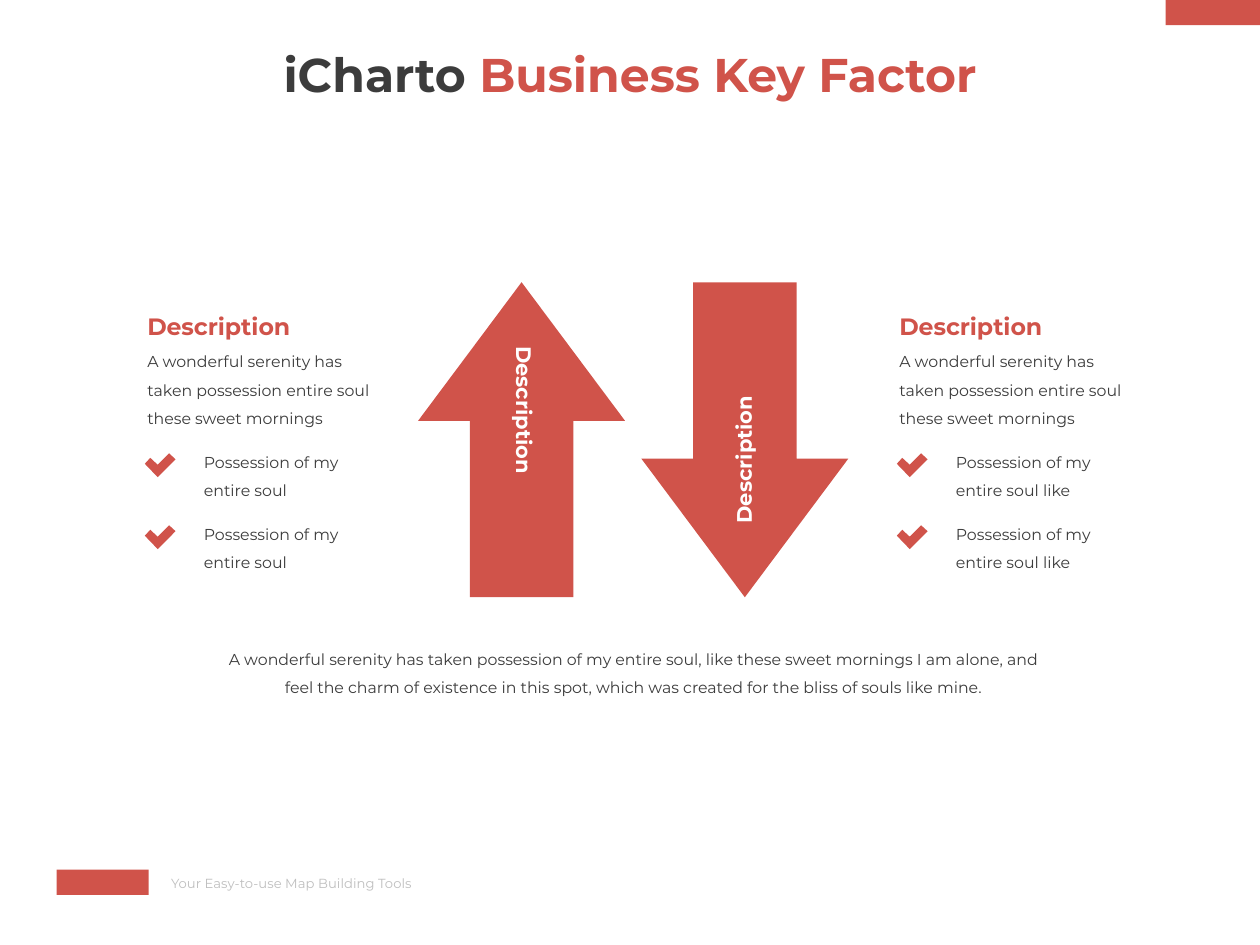
import pptx
import pptx.dml.color
import pptx.enum.shapes
import pptx.enum.text
import pptx.util

Cm = pptx.util.Cm
SHAPES = pptx.enum.shapes.MSO_SHAPE
ANCHOR = pptx.enum.text.MSO_ANCHOR
ALIGN = pptx.enum.text.PP_ALIGN
FIT = pptx.enum.text.MSO_AUTO_SIZE

# Content
TITLE = [("iCharto ", "dark"), ("Business Key Factor", "accent")]
INTRO = "A wonderful serenity has taken possession entire soul these sweet mornings"
COLUMNS = [  # left edge in cm, heading, introduction, checklist
    (2.72, "Description", INTRO, ["Possession of my entire soul"] * 2),
    (17.88, "Description", INTRO, ["Possession of my entire soul like"] * 2),
]
ARROWS = [  # left edge, rotation, label, label box, label rotation
    (8.43, 0, "Description", (8.64, 8.28, 3.86, 0.76), 90),
    (12.93, 180, "Description", (13.16, 8.59, 3.66, 0.76), 270),
]
SUMMARY = (
    "A wonderful serenity has taken possession of my entire soul, like these sweet "
    "mornings I am alone, and feel the charm of existence in this spot, which was "
    "created for the bliss of souls like mine."
)
TAGLINE = "Your Easy-to-use Map Building Tools"

# Theme and measures
THEME = {
    "font": "Montserrat",
    "colors": {"accent": "D0534A", "dark": "3C3C3C", "light": "FFFFFF", "muted": "BFBFBF"},
    "sizes": {"title": 27, "heading": 13.5, "label": 12, "body": 9, "tagline": 7.5},
}
CHECK = [(0.49, 0), (0.26, 0.23), (0.11, 0.09), (0, 0.21), (0.26, 0.48), (0.62, 0.12)]
CHECK_TOP, ITEM_TOP, ITEM_PITCH = 9.14, 8.81, 1.45


def color(name):
    return pptx.dml.color.RGBColor.from_string(THEME["colors"][name])


def add_run(paragraph, text, size, color_name, bold=False):
    run = paragraph.add_run()
    run.text = text
    run.font.name = THEME["font"]
    run.font.size = pptx.util.Pt(THEME["sizes"][size])
    run.font.bold = bold
    run.font.color.rgb = color(color_name)


def add_text(slide, box, text, size="body", color_name="dark", bold=False,
             spacing=1.0, anchor=ANCHOR.TOP, align=ALIGN.LEFT, rotation=0):
    shape = slide.shapes.add_textbox(*map(Cm, box))
    shape.rotation = rotation
    frame = shape.text_frame
    frame.word_wrap = True
    frame.auto_size = FIT.SHAPE_TO_FIT_TEXT
    frame.vertical_anchor = anchor
    paragraph = frame.paragraphs[0]
    paragraph.alignment = align
    paragraph.line_spacing = spacing
    add_run(paragraph, text, size, color_name, bold)


def paint(shape):
    shape.shadow.inherit = False
    shape.fill.solid()
    shape.fill.fore_color.rgb = color("accent")
    shape.line.fill.background()


def add_block(slide, kind, box):
    shape = slide.shapes.add_shape(kind, *map(Cm, box))
    paint(shape)
    return shape


def add_check(slide, left, top):
    points = [(Cm(left + x), Cm(top + y)) for x, y in CHECK]
    builder = slide.shapes.build_freeform(*points[0])
    builder.add_line_segments(points[1:], close=True)
    paint(builder.convert_to_shape())


def add_title(slide):
    title = slide.shapes.title
    title.left, title.top, title.width, title.height = map(Cm, (1.75, 0.66, 21.9, 1.8))
    frame = title.text_frame
    frame.auto_size = FIT.NONE
    frame.vertical_anchor = ANCHOR.MIDDLE
    paragraph = frame.paragraphs[0]
    paragraph.alignment = ALIGN.CENTER
    paragraph.line_spacing = 0.9
    for text, color_name in TITLE:
        add_run(paragraph, text, "title", color_name, bold=True)


def add_arrow(slide, left, rotation, label, label_box, label_rotation):
    arrow = add_block(slide, SHAPES.UP_ARROW, (left, 5.69, 4.17, 6.35))
    arrow.adjustments[0], arrow.adjustments[1] = 0.5, 0.67
    arrow.rotation = rotation
    add_text(slide, label_box, label, "label", "light", bold=True,
             anchor=ANCHOR.MIDDLE, rotation=label_rotation)


def add_column(slide, left, heading, intro, items):
    add_text(slide, (left, 6.78, 5.08, 1.93), intro, spacing=1.5)
    add_text(slide, (left, 6.15, 4.5, 0.84), heading, "heading", "accent",
             bold=True, anchor=ANCHOR.MIDDLE)
    for row, item in enumerate(items):
        shift = row * ITEM_PITCH
        add_check(slide, left + 0.2, CHECK_TOP + shift)
        add_text(slide, (left + 1.14, ITEM_TOP + shift, 3.35, 1.35), item, spacing=1.5)


def main():
    presentation = pptx.Presentation()
    presentation.slide_width, presentation.slide_height = Cm(25.4), Cm(19.05)
    slide = presentation.slides.add_slide(presentation.slide_layouts[5])

    # Title, arrows and side columns
    add_title(slide)
    for arrow in ARROWS:
        add_arrow(slide, *arrow)
    for column in COLUMNS:
        add_column(slide, *column)

    # Summary
    add_text(slide, (4.34, 12.8, 16.84, 1.35), SUMMARY, spacing=1.5,
             anchor=ANCHOR.MIDDLE, align=ALIGN.CENTER)

    # Footer mark, tagline and corner tab
    add_block(slide, SHAPES.RECTANGLE, (1.14, 17.53, 1.86, 0.51))
    add_text(slide, (3.2, 17.53, 6.55, 0.58), TAGLINE, "tagline", "muted")
    add_block(slide, SHAPES.RECTANGLE, (23.5, 0, 1.9, 0.51))

    presentation.save("out.pptx")


if __name__ == "__main__":
    main()
